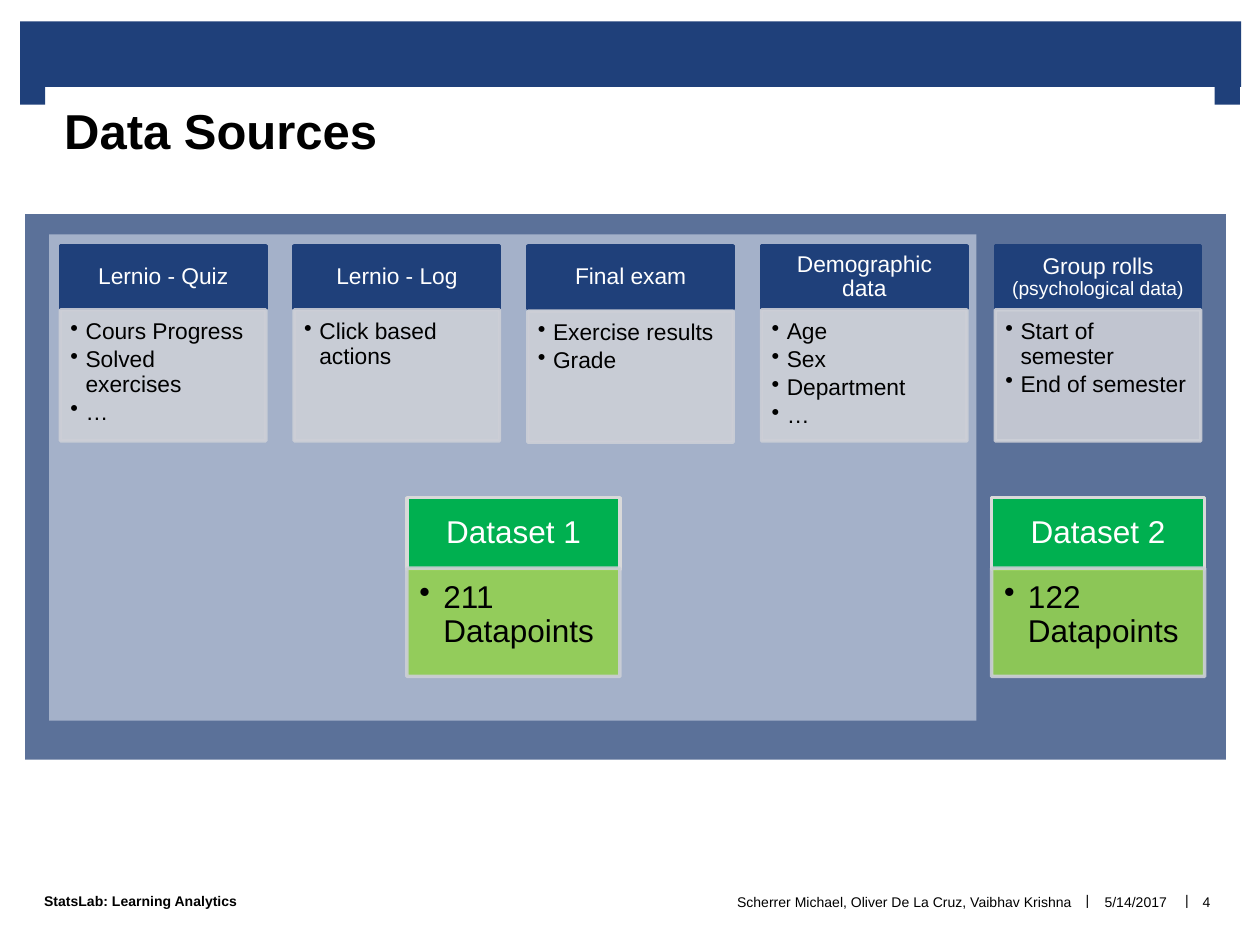
import pptx
import pptx.util
import pptx.dml.color
import pptx.enum.shapes
import pptx.enum.text
import pptx.oxml.ns
from lxml import etree

Inches = pptx.util.Inches
Pt = pptx.util.Pt
ALIGN = pptx.enum.text.PP_ALIGN
ANCHOR = pptx.enum.text.MSO_ANCHOR
NAVY, PALE, BLACK, WHITE = "1F407A", "CDCFD7", "000000", "FFFFFF"

# Heading lines with sizes, bullets, top of the body
SOURCES = [
    ([("Lernio - Quiz", 13)], ["Cours Progress", "Solved exercises", "…"], 2.46),
    ([("Lernio - Log", 13)], ["Click based actions"], 2.46),
    ([("Final exam", 13)], ["Exercise results", "Grade"], 2.47),
    ([("Demographic data", 13)], ["Age", "Sex", "Department", "…"], 2.46),
    ([("Group rolls", 13), ("(psychological data)", 11)],
     ["Start of semester", "End of semester"], 2.46),
]
DATASETS = [(3.23, "Dataset 1", "211 Datapoints"),
            (7.87, "Dataset 2", "122 Datapoints")]


def paint(target, color, alpha=None):
    """Set a solid colour on a fill, with optional opacity in percent."""
    target.solid()
    target.fore_color.rgb = pptx.dml.color.RGBColor.from_string(color)
    if alpha:
        for node in target._xPr.iter(pptx.oxml.ns.qn("a:srgbClr")):
            if node.getparent().getparent() is target._xPr:
                etree.SubElement(node, pptx.oxml.ns.qn("a:alpha"), val=str(alpha * 1000))


def add_box(slide, place, fill, line=None, alpha=None):
    shape = slide.shapes.add_shape(
        pptx.enum.shapes.MSO_SHAPE.RECTANGLE, *map(Inches, place))
    shape.shadow.inherit = False
    paint(shape.fill, fill, alpha)
    if line:
        shape.line.width = Pt(2)
        paint(shape.line.fill, line, alpha)
    else:
        shape.line.fill.background()
    return shape


def set_frame(frame, insets, anchor, wrap=True):
    frame.auto_size = pptx.enum.text.MSO_AUTO_SIZE.NONE
    frame.word_wrap = wrap
    frame.vertical_anchor = anchor
    (frame.margin_left, frame.margin_top,
     frame.margin_right, frame.margin_bottom) = map(Inches, insets)


def add_run(para, text, size, color=BLACK, bold=False):
    run = para.add_run()
    run.text = text
    run.font.name = "Arial"
    run.font.size = Pt(size)
    run.font.bold = bold
    run.font.color.rgb = pptx.dml.color.RGBColor.from_string(color)


def add_head(slide, place, fill, line, insets, lines):
    """Heading box with centred white text."""
    frame = add_box(slide, place, fill, line).text_frame
    set_frame(frame, insets, ANCHOR.MIDDLE)
    para = frame.paragraphs[0]
    para.alignment = ALIGN.CENTER
    para.line_spacing = 0.9
    para.space_after = Pt(lines[0][1] * 0.35)
    for index, (text, size) in enumerate(lines):
        if index:
            para.add_line_break()
        add_run(para, text, size, WHITE)


def add_list(slide, place, fill, insets, items, size, indent):
    """Translucent box with a bulleted list."""
    frame = add_box(slide, place, fill, PALE, 90).text_frame
    set_frame(frame, insets, ANCHOR.TOP)
    for index, item in enumerate(items):
        para = frame.add_paragraph() if index else frame.paragraphs[0]
        para.alignment = ALIGN.LEFT
        para.level = 1
        para.line_spacing = 0.9
        para.space_after = Pt(size * 0.15)
        props = para._p.get_or_add_pPr()
        props.set("marL", str(Inches(indent)))
        props.set("indent", str(-Inches(indent)))
        etree.SubElement(props, pptx.oxml.ns.qn("a:buChar"), char="•")
        add_run(para, item, size)


def add_note(slide, place, text, align, insets=(0, 0, 0, 0), bold=False, wrap=False):
    frame = slide.shapes.add_textbox(*map(Inches, place)).text_frame
    set_frame(frame, insets, ANCHOR.MIDDLE, wrap)
    para = frame.paragraphs[0]
    para.alignment = align
    add_run(para, text, 8, bold=bold)


def add_title(slide, text):
    title = slide.shapes.title
    title.left, title.top, title.width, title.height = map(
        Inches, (0.35, 0.68, 9.29, 1.11))
    set_frame(title.text_frame, (0.16, 0.12, 0.16, 0), ANCHOR.TOP)
    para = title.text_frame.paragraphs[0]
    para.alignment = ALIGN.LEFT
    add_run(para, text, 28, bold=True)


def add_foot(slide):
    add_note(slide, (0.35, 6.9, 4.65, 0.5), "StatsLab: Learning Analytics",
             ALIGN.LEFT, (0, 0.05, 0, 0.05), True, True)
    add_note(slide, (5, 6.9, 3.51, 0.51),
             "Scherrer Michael, Oliver De La Cruz, Vaibhav Krishna", ALIGN.RIGHT)
    add_note(slide, (8.68, 6.9, 0.67, 0.51), "5/14/2017", ALIGN.CENTER)
    add_note(slide, (9.43, 6.9, 0.29, 0.51), "4", ALIGN.CENTER)
    for left in (8.57, 9.36):
        add_note(slide, (left, 6.89, 0.12, 0.51), "|", ALIGN.CENTER,
                 (0.04, 0.05, 0.04, 0.05))


def main():
    deck = pptx.Presentation()
    deck.slide_width, deck.slide_height = Inches(10), Inches(7.5)
    slide = deck.slides.add_slide(deck.slide_layouts[5])

    # Top band with its two corners
    for place in ((0.16, 0.17, 9.69, 0.52), (0.16, 0.65, 0.2, 0.18),
                  (9.64, 0.65, 0.2, 0.18)):
        add_box(slide, place, NAVY)
    add_title(slide, "Data Sources")

    # Nested panels
    add_box(slide, (0.2, 1.7, 9.53, 4.33), "5B7199")
    add_box(slide, (0.39, 1.86, 7.36, 3.86), "A4B1C9")

    # Five source columns
    for index, (lines, items, top) in enumerate(SOURCES):
        left = 0.48 + index * 1.855
        add_head(slide, (left, 1.95, 1.63, 0.5), NAVY, NAVY,
                 (0.1, 0.06, 0.1, 0.06), lines)
        add_list(slide, (left, top, 1.63, 1.04), PALE,
                 (0.08, 0.08, 0.1, 0.11), items, 13, 0.12)

    # Two resulting datasets
    for left, name, count in DATASETS:
        add_head(slide, (left, 3.95, 1.69, 0.57), "00B050", "D9D9D9",
                 (0.14, 0.08, 0.14, 0.08), [(name, 18)])
        add_list(slide, (left, 4.51, 1.69, 0.86), "92D050",
                 (0.1, 0.1, 0.14, 0.16), [count], 18, 0.19)

    add_foot(slide)
    deck.save("out.pptx")


if __name__ == "__main__":
    main()
